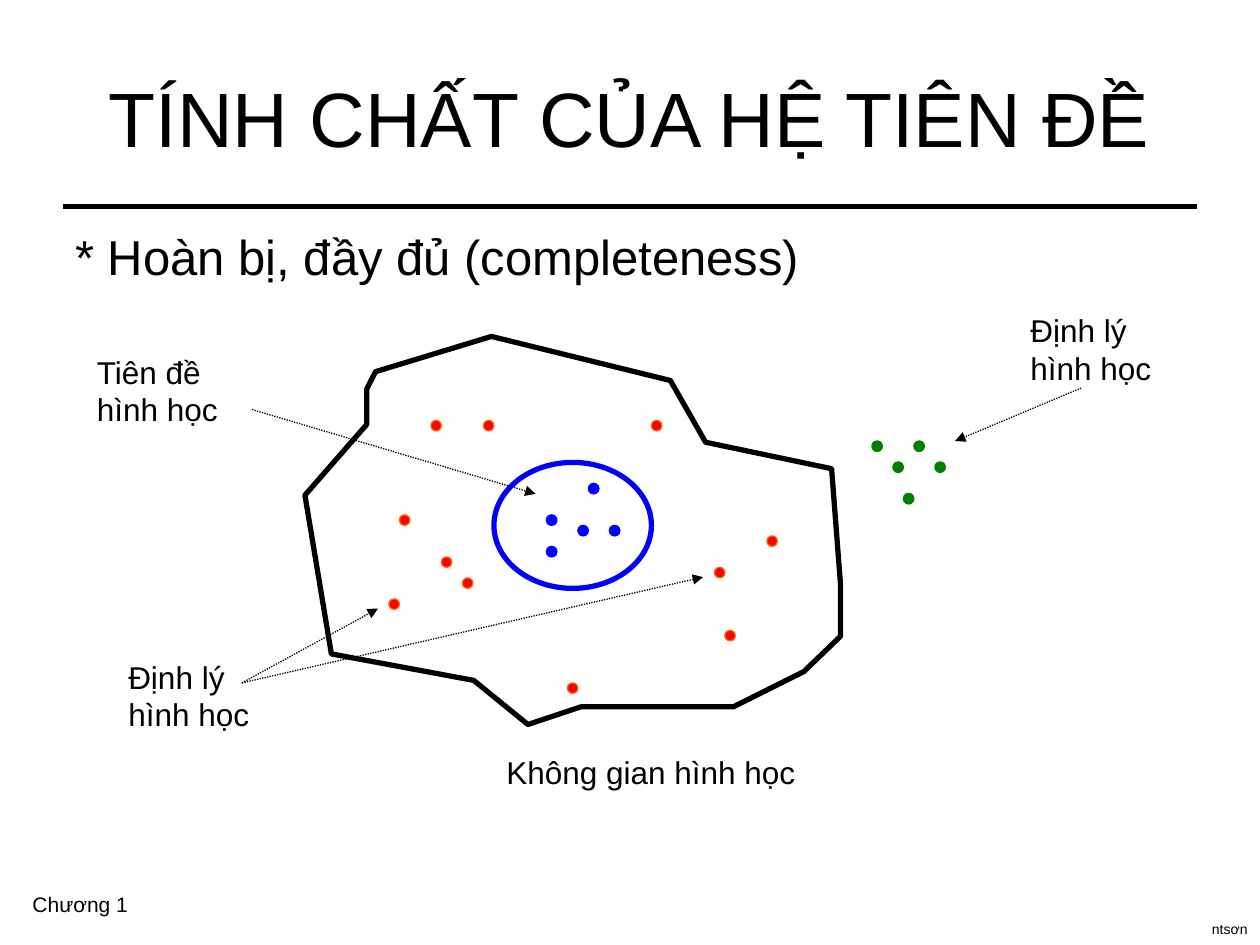
from lxml.etree import SubElement
from pptx import Presentation
from pptx.dml.color import RGBColor
from pptx.enum.dml import MSO_LINE
from pptx.enum.shapes import MSO_CONNECTOR, MSO_SHAPE
from pptx.enum.text import MSO_ANCHOR, PP_ALIGN
from pptx.oxml.ns import qn
from pptx.util import Inches, Pt

STEP = 1 / 12  # grid of the dots, also their diameter
OUTLINE = [(.56, .28), (1.48, 0), (2.9, .35), (3.18, .84), (4.18, 1.05),
           (4.25, 1.96), (4.25, 2.38), (3.96, 2.66), (3.4, 2.94),
           (2.19, 2.94), (1.77, 3.08), (1.34, 2.73), (.21, 2.52),
           (0, 1.26), (.49, .7), (.49, .42)]
THEOREMS = [(9, 17), (12, 8), (13, 21), (33, 8), (17, 8), (8, 25),
            (25, 33), (39, 22), (44, 19), (15, 23), (40, 28)]
AXIOMS = [(5, 5), (8, 6), (5, 8), (11, 6), (9, 2)]
OUTSIDE = [(0, 0), (4, 0), (2, 2), (6, 2), (3, 5)]


def color(code):
    return RGBColor.from_string(code)


def add_text(slide, text, box, size, wrap=False):
    shape = slide.shapes.add_textbox(*map(Inches, box))
    frame = shape.text_frame
    frame.word_wrap = wrap
    para = frame.paragraphs[0]
    para.text = text
    para.font.name = "Arial"
    para.font.size = Pt(size)
    para.font.color.rgb = color("000000")
    return frame


def add_line(slide, start, end, width):
    line = slide.shapes.add_connector(
        MSO_CONNECTOR.STRAIGHT, *map(Inches, (*start, *end)))
    line.line.color.rgb = color("000000")
    line.line.width = Pt(width)
    SubElement(line._element.spPr, qn("a:effectLst"))
    return line


def add_arrow(slide, start, end):
    line = add_line(slide, start, end, .75).line
    line.dash_style = MSO_LINE.ROUND_DOT
    SubElement(line._get_or_add_ln(), qn("a:tailEnd"), type="triangle")


def add_oval(slide, box, edge, width, fill=None):
    oval = slide.shapes.add_shape(MSO_SHAPE.OVAL, *map(Inches, box))
    oval.shadow.inherit = False
    oval.line.color.rgb = color(edge)
    oval.line.width = Pt(width)
    if fill:
        oval.fill.solid()
        oval.fill.fore_color.rgb = color(fill)
    else:
        oval.fill.background()


def add_dots(slide, left, top, cells, fill, edge):
    """Place dots at grid cells counted from the left top corner."""
    for col, row in cells:
        box = (left + col * STEP, top + row * STEP, STEP, STEP)
        add_oval(slide, box, edge, .75, fill)


def add_space(slide, left, top):
    """Draw the space of geometry with its theorems and axioms."""
    points = [(Inches(left + x), Inches(top + y)) for x, y in OUTLINE]
    path = slide.shapes.build_freeform(*points[0])
    path.add_line_segments(points[1:], close=True)
    shape = path.convert_to_shape()
    shape.shadow.inherit = False
    shape.fill.background()
    shape.line.color.rgb = color("000000")
    shape.line.width = Pt(3)
    add_text(slide, "Không gian hình học", (left + 1.5, top + 3.26, 2.49, .4), 18)
    add_dots(slide, left, top, THEOREMS, "FF0000", "FF6600")
    inner = (left + 1.5, top + 1)
    add_oval(slide, (*inner, 1.25, 1), "0000FF", 3)
    add_dots(slide, *inner, AXIOMS, "0000FF", "0000FF")


def add_label(slide, text, left, top, start, tips):
    """Write a label with arrows; start and tips are offsets from it."""
    add_text(slide, text, (left, top, 1.16, .7), 18)
    for x, y in tips:
        add_arrow(slide, (left + start[0], top + start[1]), (left + x, top + y))


def add_header(slide, left, top, width):
    title = add_text(slide, "TÍNH CHẤT CỦA HỆ TIÊN ĐỀ",
                     (left, top, width, 1.25), 44, wrap=True)
    title.vertical_anchor = MSO_ANCHOR.MIDDLE
    title.paragraphs[0].alignment = PP_ALIGN.CENTER
    add_line(slide, (left, top + 1.34), (left + width, top + 1.34), 3)


def add_footer(slide, left, top):
    add_text(slide, "Chương 1", (left, top, .96, .3), 12)
    author = add_text(slide, "ntsơn", (left + 9.36, top + .23, .48, .24), 8,
                      wrap=True)
    author.margin_right = 0  # keeps the name on one line


def main():
    deck = Presentation()
    deck.slide_width, deck.slide_height = Inches(10), Inches(7.5)
    slide = deck.slides.add_slide(deck.slide_layouts[6])
    add_footer(slide, .16, 7.03)
    add_header(slide, .5, .3, 9)
    add_text(slide, "* Hoàn bị, đầy đủ (completeness)",
             (.5, 1.75, 9, 4.95), 28, wrap=True)
    add_space(slide, 2.42, 2.67)
    add_dots(slide, 6.92, 3.5, OUTSIDE, "008000", "008000")
    add_label(slide, "Tiên đề\vhình học", .67, 2.75, (1.33, .5), [(3.58, 1.17)])
    theorem = "Định lý\vhình học"
    add_label(slide, theorem, .92, 5.17, (1, .25), [(2.08, -.34), (4.66, -.59)])
    add_label(slide, theorem, 8.08, 2.42, (.5, .66), [(-.5, 1.08)])
    deck.save("out.pptx")


if __name__ == "__main__":
    main()
